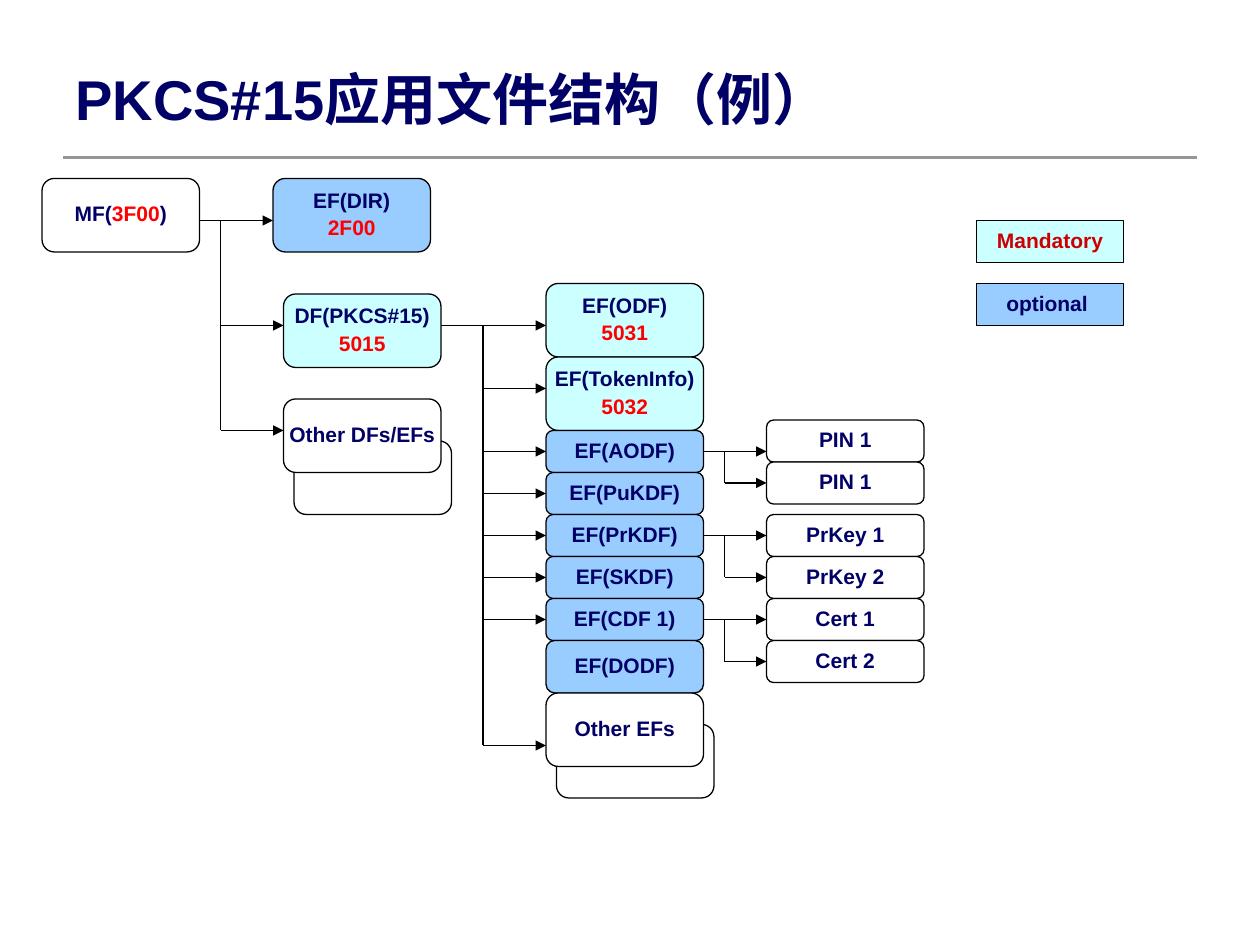
from lxml import etree
from pptx import Presentation
from pptx.dml.color import RGBColor
from pptx.enum.shapes import MSO_CONNECTOR, MSO_SHAPE
from pptx.enum.text import MSO_ANCHOR, PP_ALIGN
from pptx.oxml.ns import qn
from pptx.util import Inches, Pt

ROUND, RECT = MSO_SHAPE.ROUNDED_RECTANGLE, MSO_SHAPE.RECTANGLE
STRAIGHT = MSO_CONNECTOR.STRAIGHT
MIDDLE, CENTER = MSO_ANCHOR.MIDDLE, PP_ALIGN.CENTER
rgb = RGBColor.from_string
NAVY, RED, DARK_RED, BLACK, GREY = "000066", "FF0000", "CC0000", "000000", "969696"
WHITE, MANDATORY, OPTIONAL = "FFFFFF", "CCFFFF", "99CCFF"

prs = Presentation()
prs.slide_width, prs.slide_height = Inches(10), Inches(7.5)
s = prs.slides.add_slide(prs.slide_layouts[6])
U = Inches(1) // 12  # grid unit: 120 columns by 90 rows
W, TALL, LOW = 15, 7, 4  # box width and the two usual heights


def box(x, y, h, text="", fill=WHITE, w=W, kind=ROUND, color=NAVY):
    """Box on the grid; text between bars is red."""
    sp = s.shapes.add_shape(kind, x * U, y * U, w * U, h * U)
    sp.shadow.inherit = False
    sp.fill.solid()
    sp.fill.fore_color.rgb = rgb(fill)
    sp.line.color.rgb = rgb(BLACK)
    sp.line.width = Pt(0.75)
    tf = sp.text_frame
    tf.word_wrap = False
    tf.vertical_anchor = MIDDLE
    tf.text = text.replace("|", "")
    for p, line in zip(tf.paragraphs, text.split("\n")):
        p.alignment = CENTER
        p.line_spacing = 0.9
        p.space_before = Pt(3)
        p.clear()
        for i, part in enumerate(line.split("|")):
            if part:
                r = p.add_run()
                r.text = part
                r.font.name, r.font.size, r.font.bold = "Arial", Pt(12), True
                r.font.color.rgb = rgb(RED if i % 2 else color)


def line(x1, y1, x2, y2, arrow=True, color=BLACK, width=0.75):
    c = s.shapes.add_connector(STRAIGHT, x1 * U, y1 * U, x2 * U, y2 * U)
    c.line.color.rgb = rgb(color)
    c.line.width = Pt(width)
    if arrow:
        etree.SubElement(c.line._get_or_add_ln(), qn("a:tailEnd"), type="triangle")
    etree.SubElement(c._element.spPr, qn("a:effectLst"))


# Title and rule
line(6, 15, 114, 15, False, GREY, 2.25)
tf = s.shapes.add_textbox(6 * U, Inches(0.3), 108 * U, Inches(0.95)).text_frame
tf.word_wrap = True
tf.vertical_anchor = MIDDLE
tf.text = "PKCS#15应用文件结构（例）"
font = tf.paragraphs[0].runs[0].font
font.name, font.size, font.bold = "Arial", Pt(32), True
font.color.rgb = rgb(NAVY)

# Root and its children
line(21, 21, 21, 41, False)
line(19, 21, 26, 21)
for y in (31, 41):
    line(21, y, 27, y)
box(4, 17, TALL, "MF(|3F00|)")
box(26, 17, TALL, "EF(DIR)\n|2F00|", OPTIONAL)
box(27, 28, TALL, "DF(PKCS#15)\n|5015|", MANDATORY)
box(28, 42, TALL)
box(27, 38, TALL, "Other DFs/EFs")

# Trunk and arrows to the elementary files
line(46, 31, 46, 71, False)
line(42, 31, 52, 31)
for y in (37, 43, 47, 51, 55, 59, 71):
    line(46, y, 52, y)

# Stack of elementary files
box(53, 69, TALL)
y = 27
for text, h, fill in [
    ("EF(ODF)\n|5031|", TALL, MANDATORY),
    ("EF(TokenInfo)\n|5032|", TALL, MANDATORY),
    ("EF(AODF)", LOW, OPTIONAL),
    ("EF(PuKDF)", LOW, OPTIONAL),
    ("EF(PrKDF)", LOW, OPTIONAL),
    ("EF(SKDF)", LOW, OPTIONAL),
    ("EF(CDF 1)", LOW, OPTIONAL),
    ("EF(DODF)", 5, OPTIONAL),
    ("Other EFs", TALL, WHITE),
]:
    box(52, y, h, text, fill)
    y += h

# Objects: top row of the pair, arrow rows, labels
for top, y1, y2, first, second in [
    (40, 43, 46, "PIN 1", "PIN 1"),
    (49, 51, 55, "PrKey 1", "PrKey 2"),
    (57, 59, 63, "Cert 1", "Cert 2"),
]:
    line(67, y1, 73, y1)
    line(69, y1, 69, y2, False)
    line(69, y2, 73, y2)
    box(73, top, LOW, first)
    box(73, top + LOW, LOW, second)

# Legend
box(93, 21, LOW, "Mandatory", MANDATORY, 14, RECT, DARK_RED)
box(93, 27, LOW, "optional ", OPTIONAL, 14, RECT)

prs.save("out.pptx")
